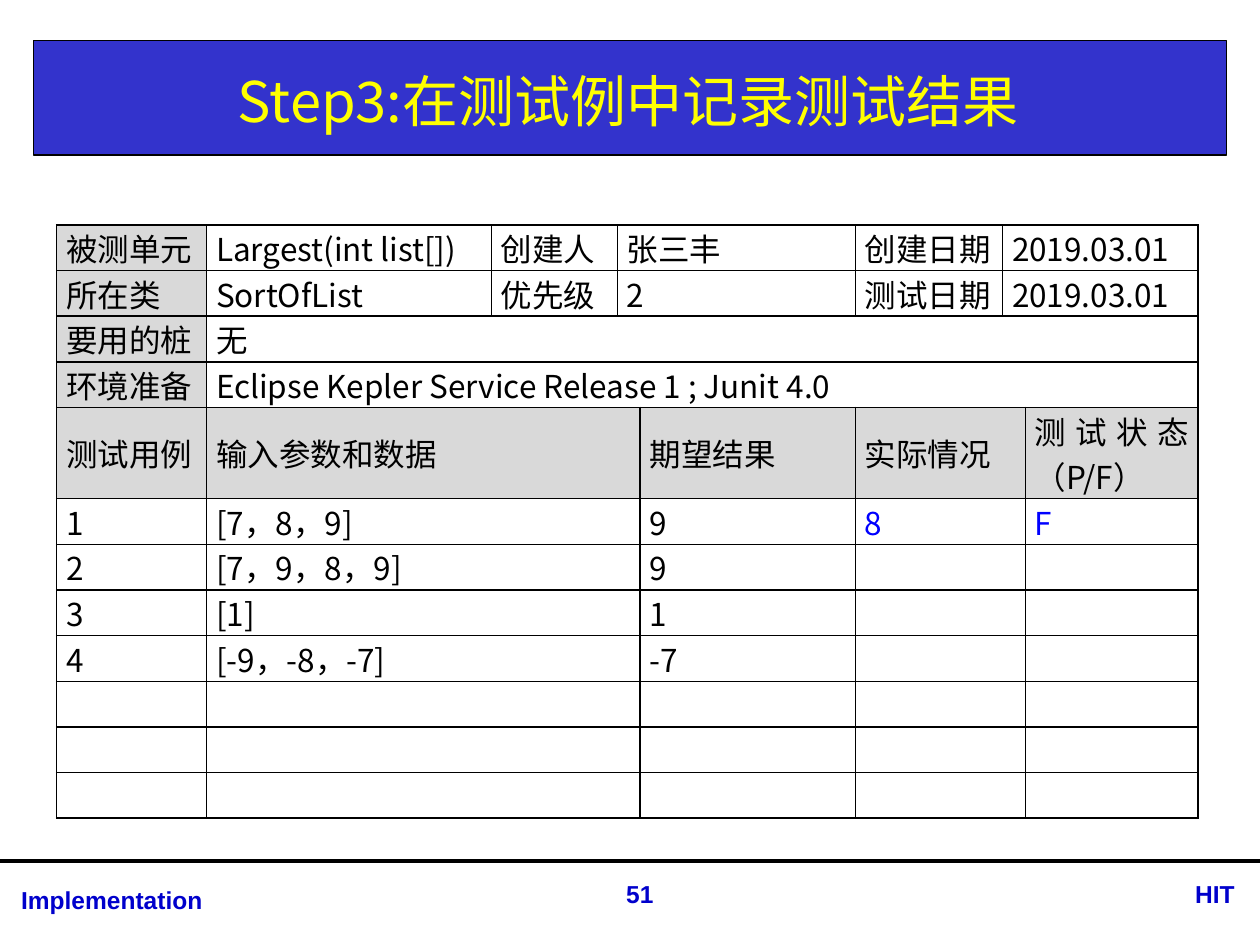
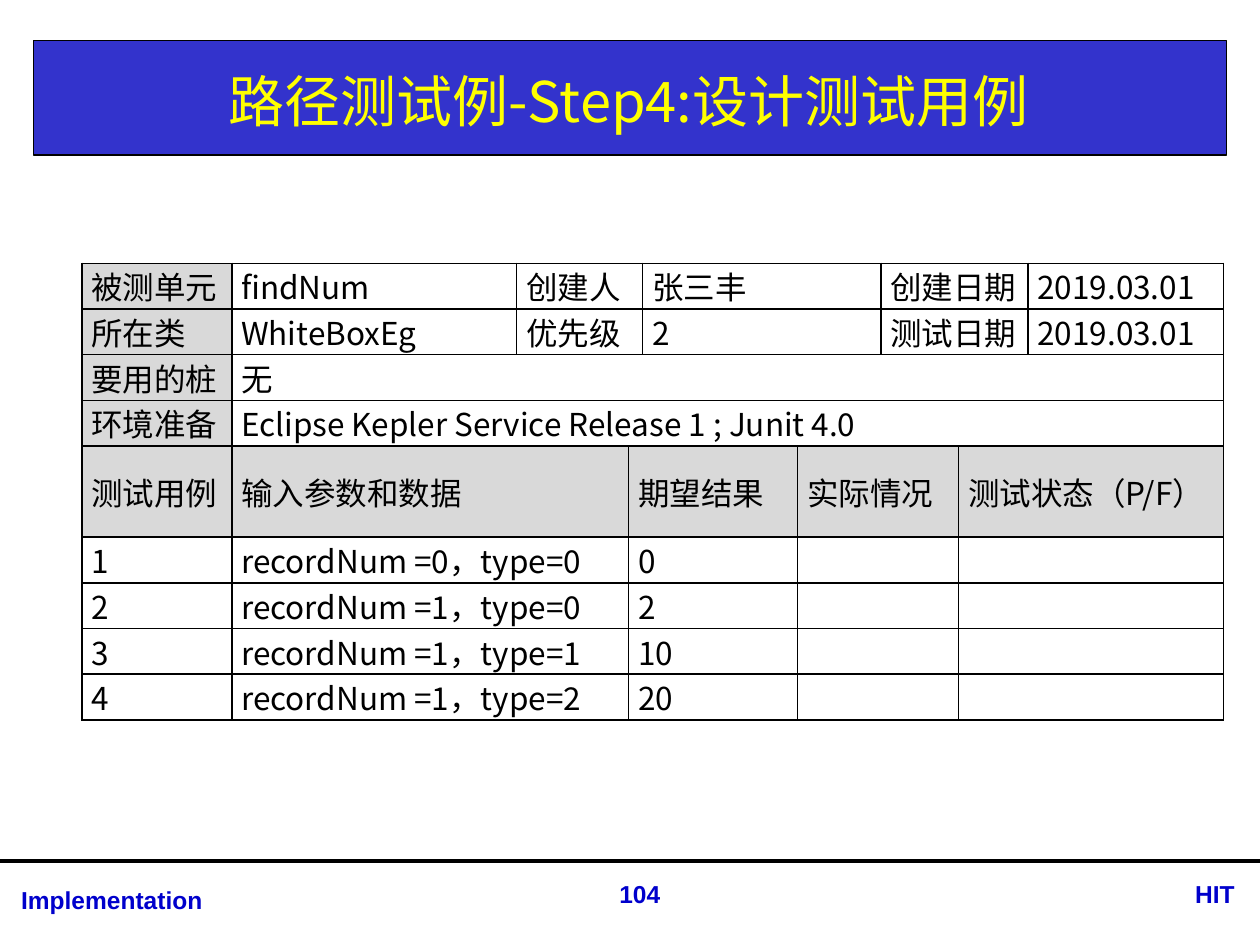
"""Builds two slides with unit test case records."""
import lxml.etree
import pptx
import pptx.dml.color
import pptx.enum.shapes
import pptx.enum.text
import pptx.oxml.ns
import pptx.util

Pt = pptx.util.Pt
Align = pptx.enum.text.PP_ALIGN
Anchor = pptx.enum.text.MSO_ANCHOR
qn = pptx.oxml.ns.qn

COLORS = {"band": "3333CC", "title": "FFFF00", "footer": "0000CC", "ink": "000000",
          "result": "0000FF", "label": "D9D9D9", "paper": "FFFFFF"}
COLORS = {name: pptx.dml.color.RGBColor.from_string(value) for name, value in COLORS.items()}
CJK_FONT = "Noto Sans CJK SC"
ROW_HEIGHT = 26.1
HEADER_ROW = 4


def style_para(para, size, color, align, font=CJK_FONT, bold=False):
    para.alignment = align
    para.space_before = Pt(0)
    para.font.size = Pt(size)
    para.font.bold = bold
    para.font.color.rgb = COLORS[color]
    para.font.name = font
    latin = para.font._element.find(qn("a:latin"))
    east_asian = lxml.etree.Element(qn("a:ea"), typeface=font)
    latin.addnext(east_asian)


def border_cell(cell):
    properties = cell._tc.get_or_add_tcPr()
    for index, side in enumerate(("lnL", "lnR", "lnT", "lnB")):
        border = lxml.etree.Element(qn(f"a:{side}"), w=str(Pt(1)))
        fill = lxml.etree.SubElement(border, qn("a:solidFill"))
        lxml.etree.SubElement(fill, qn("a:srgbClr"), val=str(COLORS["ink"]))
        properties.insert(index, border)


shared_rows = [
    ["要用的桩", "无"],
    ["环境准备", "Eclipse Kepler Service Release 1 ; Junit 4.0"],
    ["测试用例", "输入参数和数据", "期望结果", "实际情况", "测试状态（P/F）"],
]
records = [
    {
        "title": "Step3:在测试例中记录测试结果",
        "number": "51",
        "left": 32.4,
        "top": 128.5,
        "columns": [85.7, 162.8, 72, 12.9, 123.1, 84.1, 13, 98.7],
        "spans": {6: [1, 1, 1, 2, 1, 2], 2: [1, 7], 5: [1, 3, 1, 2, 1]},
        "unit": "Largest(int list[])",
        "class": "SortOfList",
        "cases": [
            ["1", "[7，8，9]", "9", "8", "F"],
            ["2", "[7，9，8，9]", "9", "", ""],
            ["3", "[1]", "1", "", ""],
            ["4", "[-9，-8，-7]", "-7", "", ""],
        ] + [[""] * 5] * 3,
    },
    {
        "title": "路径测试例-Step4:设计测试用例",
        "number": "104",
        "left": 46.8,
        "top": 150.5,
        "columns": [85.7, 162.8, 64, 8, 88.6, 47.6, 44.4, 39.6, 111.7],
        "spans": {6: [1, 1, 2, 2, 2, 1], 2: [1, 8], 5: [1, 2, 2, 2, 2]},
        "unit": "findNum",
        "class": "WhiteBoxEg",
        "cases": [
            ["1", "recordNum =0，type=0", "0", "", ""],
            ["2", "recordNum =1，type=0", "2", "", ""],
            ["3", "recordNum =1，type=1", "10", "", ""],
            ["4", "recordNum =1，type=2", "20", "", ""],
        ],
    },
]

deck = pptx.Presentation()
deck.slide_width, deck.slide_height = Pt(720), Pt(540)

for record in records:
    page = deck.slides.add_slide(deck.slide_layouts[5])
    page.background.fill.solid()
    page.background.fill.fore_color.rgb = COLORS["paper"]

    band = page.shapes.add_shape(pptx.enum.shapes.MSO_SHAPE.RECTANGLE,
                                 Pt(19), Pt(23.2), Pt(682), Pt(65.4))
    band.shadow.inherit = False
    band.fill.solid()
    band.fill.fore_color.rgb = COLORS["band"]
    band.line.color.rgb = COLORS["ink"]
    band.line.width = Pt(0.75)

    rule = page.shapes.add_connector(pptx.enum.shapes.MSO_CONNECTOR.STRAIGHT,
                                     Pt(0), Pt(492), Pt(720), Pt(492))
    rule.line.color.rgb = COLORS["ink"]
    rule.line.width = Pt(2.25)
    lxml.etree.SubElement(rule._element.spPr, qn("a:effectLst"))

    for text, left, top, width, align in (
        ("Implementation", 5, 502, 277, Align.LEFT),
        ("HIT", 638.6, 499, 74, Align.RIGHT),
        (record["number"], 328.6, 499, 74, Align.CENTER),
    ):
        footer = page.shapes.add_textbox(Pt(left), Pt(top), Pt(width), Pt(24.2))
        footer.text_frame.word_wrap = True
        footer.text_frame.text = text
        style_para(footer.text_frame.paragraphs[0], 14, "footer", align, "Arial", True)

    title = page.shapes.title
    page.shapes._spTree.append(title._element)
    title.left, title.top, title.width, title.height = Pt(19), Pt(26), Pt(680.4), Pt(62.6)
    title.text_frame.text = record["title"]
    title.text_frame.auto_size = pptx.enum.text.MSO_AUTO_SIZE.NONE
    title.text_frame.vertical_anchor = Anchor.MIDDLE
    style_para(title.text_frame.paragraphs[0], 32, "title", Align.CENTER)

    rows = [
        ["被测单元", record["unit"], "创建人", "张三丰", "创建日期", "2019.03.01"],
        ["所在类", record["class"], "优先级", "2", "测试日期", "2019.03.01"],
    ] + shared_rows + record["cases"]
    columns = record["columns"]
    frame = page.shapes.add_table(len(rows), len(columns), Pt(record["left"]), Pt(record["top"]),
                                  Pt(sum(columns)), Pt(ROW_HEIGHT * (len(rows) + 1)))
    table = frame.table
    table.first_row = table.horz_banding = False
    for column, width in zip(table.columns, columns):
        column.width = Pt(width)

    for row_index, texts in enumerate(rows):
        table.rows[row_index].height = Pt(ROW_HEIGHT * (2 if row_index == HEADER_ROW else 1))
        start = 0
        for position, (text, span) in enumerate(zip(texts, record["spans"][len(texts)])):
            cell = table.cell(row_index, start)
            if span > 1:
                cell.merge(table.cell(row_index, start + span - 1))
            is_label = row_index == HEADER_ROW or (row_index < HEADER_ROW and position == 0)
            is_result = row_index > HEADER_ROW and position > 2
            cell.text = text
            style_para(cell.text_frame.paragraphs[0], 18,
                       "result" if is_result else "ink", Align.JUSTIFY)
            for covered in range(start, start + span):
                part = table.cell(row_index, covered)
                part.vertical_anchor = Anchor.MIDDLE
                part.margin_left = part.margin_right = Pt(5.4)
                part.margin_top = part.margin_bottom = Pt(0)
                if is_label:
                    part.fill.solid()
                    part.fill.fore_color.rgb = COLORS["label"]
                else:
                    part.fill.background()
                border_cell(part)
            start += span

deck.save("out.pptx")
